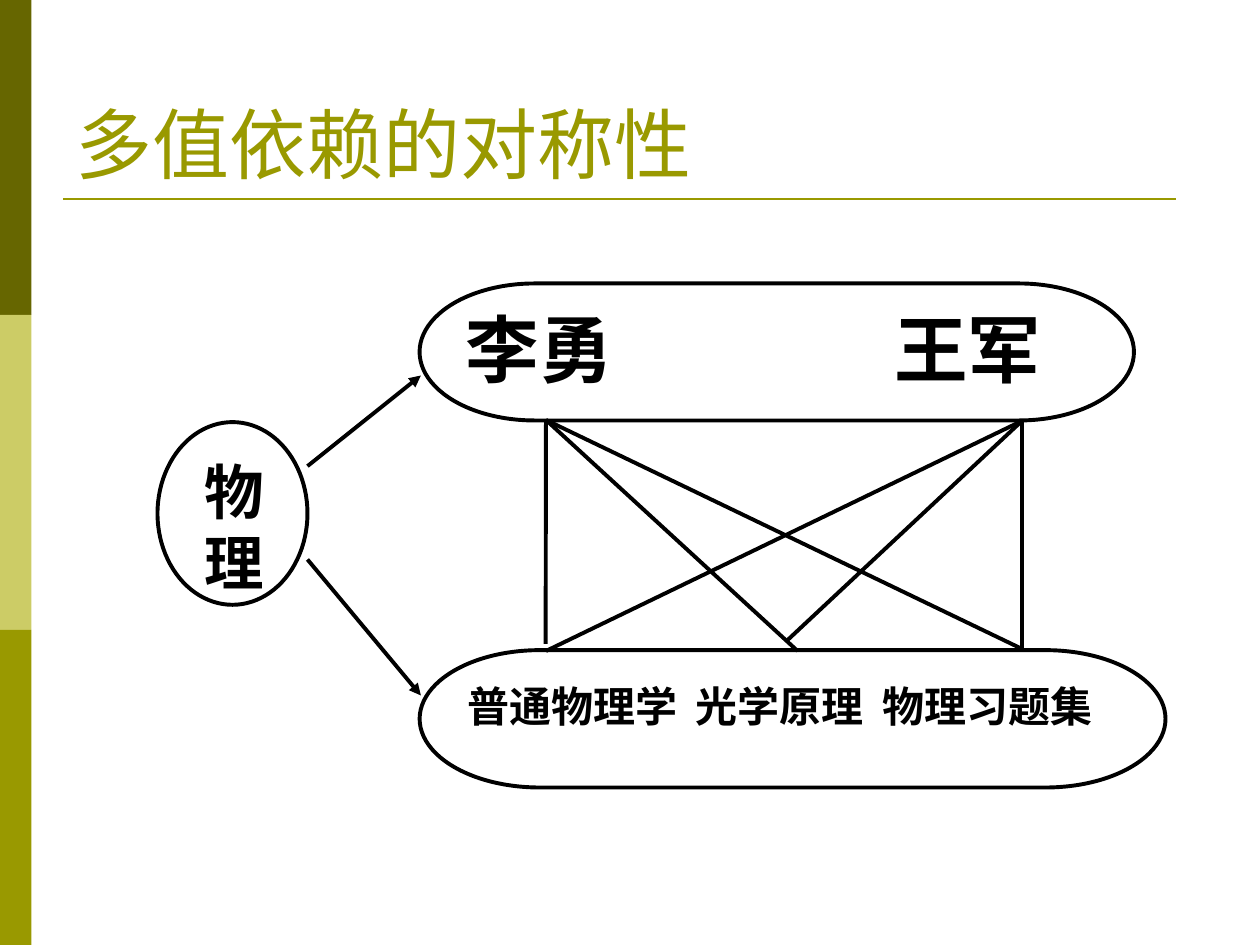
from dataclasses import dataclass

from lxml import etree
from pptx import Presentation
from pptx.dml.color import RGBColor
from pptx.enum.shapes import MSO_CONNECTOR, MSO_SHAPE
from pptx.enum.text import MSO_ANCHOR, PP_ALIGN
from pptx.oxml.ns import qn
from pptx.util import Pt

RECTANGLE = MSO_SHAPE.RECTANGLE
OVAL = MSO_SHAPE.OVAL
TERMINATOR = MSO_SHAPE.FLOWCHART_TERMINATOR
STRAIGHT = MSO_CONNECTOR.STRAIGHT
TOP, BOTTOM = MSO_ANCHOR.TOP, MSO_ANCHOR.BOTTOM
LEFT, JUSTIFY = PP_ALIGN.LEFT, PP_ALIGN.JUSTIFY


@dataclass(frozen=True)
class Theme:
    font: str = "Times New Roman"
    olive: str = "999900"
    dark_olive: str = "666600"
    light_olive: str = "CCCC66"
    ink: str = "000000"
    paper: str = "FFFFFF"
    title_size: float = 44
    teacher_size: float = 42
    course_size: float = 34
    book_size: float = 24
    rule_width: float = 1.5
    diagram_width: float = 2.25


THEME = Theme()
SLIDE_WIDTH, SLIDE_HEIGHT = 720, 540
BAND_WIDTH = 18
BAND_COLORS = [THEME.dark_olive, THEME.light_olive, THEME.olive]

TITLE = "多值依赖的对称性"
TITLE_BOX = (36, 21.6, 648, 90)
TITLE_RULE = ((36, 113.8), (672, 113.8))

NODES = [
    dict(kind=OVAL, box=(90, 241.2, 85.7, 104.4), lines=["物", "理"],
         size=THEME.course_size, top_inset=3.6, indent=7.5),
    dict(kind=TERMINATOR, box=(239.8, 371.5, 426.2, 78.5),
         lines=["普通物理学\t光学原理\t物理习题集"],
         size=THEME.book_size, top_inset=5.76, tabs=[130.5, 237.5]),
    dict(kind=TERMINATOR, box=(239.8, 162, 408.2, 78.3), lines=["李勇\t王军"],
         size=THEME.teacher_size, top_inset=0, tabs=[245]),
]

ARROWS = [
    ((175.7, 266.4), (240.5, 214.6)),
    ((175.7, 319.7), (240.5, 397.4)),
]
LI_YONG = (312, 240)
WANG_JUN = (584, 240.5)
LINKS = [
    (LI_YONG, (311.8, 367.9)),
    (LI_YONG, (455.8, 372)),
    (LI_YONG, (584, 370.8)),
    (WANG_JUN, (584, 370.8)),
    (WANG_JUN, (450, 365.8)),
    (WANG_JUN, (312, 372)),
]


def points(values):
    return [Pt(value) for value in values]


def write_text(shape, lines, *, size, color=THEME.ink, bold=True, align=JUSTIFY,
               anchor=TOP, top_inset=3.6, indent=0, tabs=()):
    frame = shape.text_frame
    frame.word_wrap = True
    frame.vertical_anchor = anchor
    frame.margin_left = frame.margin_right = Pt(7.2)
    frame.margin_top, frame.margin_bottom = Pt(top_inset), Pt(3.6)
    frame.text = "\n".join(lines)
    for paragraph in frame.paragraphs:
        paragraph.alignment = align
        properties = paragraph._p.get_or_add_pPr()
        if indent:
            properties.set("marL", str(Pt(indent)))
        if tabs:
            tab_list = etree.SubElement(properties, qn("a:tabLst"))
            for position in tabs:
                etree.SubElement(tab_list, qn("a:tab"), pos=str(Pt(position)), algn="l")
        for run in paragraph.runs:
            run.font.name = THEME.font
            run.font.size = Pt(size)
            run.font.bold = bold
            run.font.color.rgb = RGBColor.from_string(color)


def add_shape(slide, kind, box, fill, outline=None):
    shape = slide.shapes.add_shape(kind, *points(box))
    shape.shadow.inherit = False
    shape.fill.solid()
    shape.fill.fore_color.rgb = RGBColor.from_string(fill)
    if outline:
        shape.line.color.rgb = RGBColor.from_string(outline)
        shape.line.width = Pt(THEME.diagram_width)
    else:
        shape.line.fill.background()
    return shape


def add_line(slide, start, end, color=THEME.ink, width=THEME.diagram_width, arrow=False):
    connector = slide.shapes.add_connector(STRAIGHT, *points(start + end))
    connector.line.color.rgb = RGBColor.from_string(color)
    connector.line.width = Pt(width)
    if arrow:
        etree.SubElement(connector.line._get_or_add_ln(), qn("a:tailEnd"), type="triangle")
    etree.SubElement(connector._element.spPr, qn("a:effectLst"))


def main():
    presentation = Presentation()
    presentation.slide_width, presentation.slide_height = points((SLIDE_WIDTH, SLIDE_HEIGHT))
    slide = presentation.slides.add_slide(presentation.slide_layouts[6])

    band_height = SLIDE_HEIGHT / len(BAND_COLORS)
    for index, color in enumerate(BAND_COLORS):
        add_shape(slide, RECTANGLE, (0, index * band_height, BAND_WIDTH, band_height), color)
    add_line(slide, *TITLE_RULE, color=THEME.olive, width=THEME.rule_width)

    title = slide.shapes.add_textbox(*points(TITLE_BOX))
    write_text(title, [TITLE], size=THEME.title_size, color=THEME.olive,
               bold=False, align=LEFT, anchor=BOTTOM)

    for node in NODES:
        text_format = dict(node)
        kind, box, lines = (text_format.pop(key) for key in ("kind", "box", "lines"))
        shape = add_shape(slide, kind, box, THEME.paper, THEME.ink)
        write_text(shape, lines, **text_format)

    for start, end in ARROWS:
        add_line(slide, start, end, arrow=True)
    for start, end in LINKS:
        add_line(slide, start, end)

    presentation.save("out.pptx")


if __name__ == "__main__":
    main()
